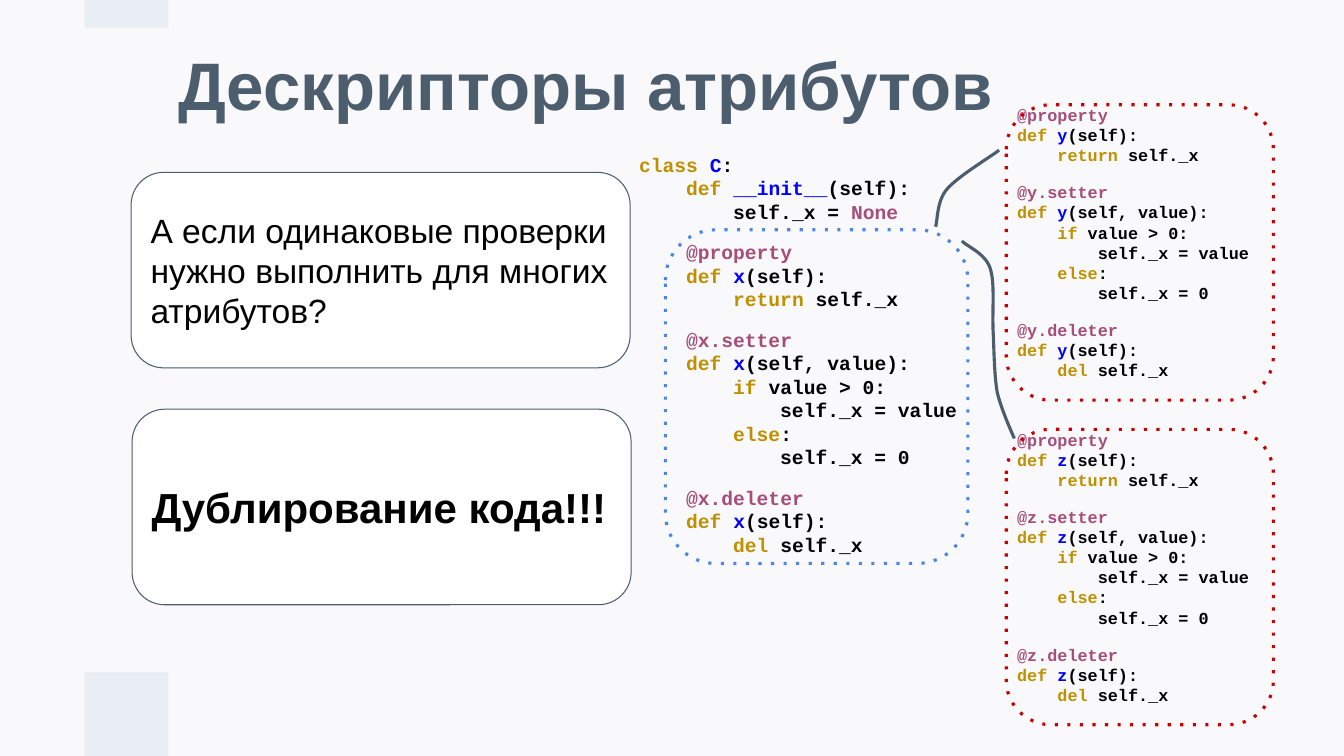
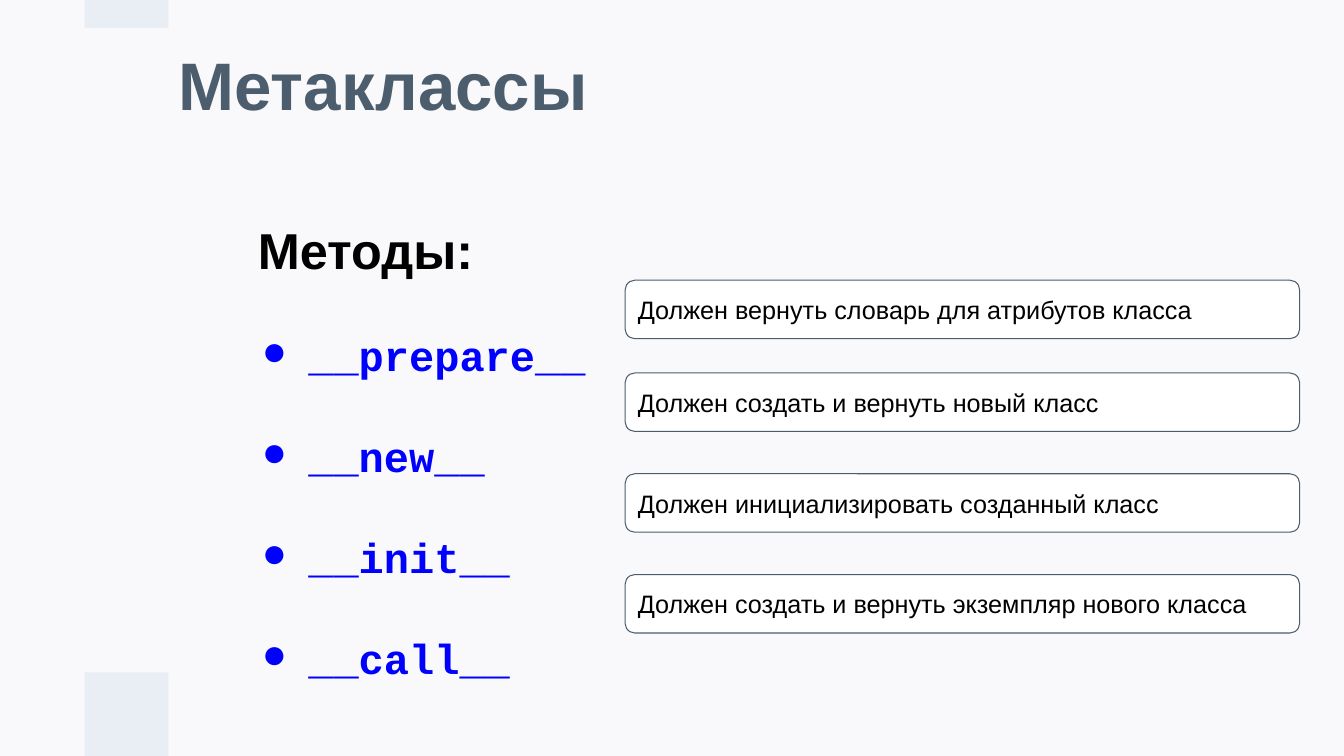
import pptx
import pptx.dml.color
import pptx.enum.dml
import pptx.enum.shapes
import pptx.enum.text
import pptx.oxml
import pptx.oxml.ns
import pptx.util

Inches = pptx.util.Inches
Pt = pptx.util.Pt
RGBColor = pptx.dml.color.RGBColor
SHAPES = pptx.enum.shapes.MSO_SHAPE
ANCHOR = pptx.enum.text.MSO_ANCHOR

# Shared colours and fonts
PAPER = RGBColor(0xF9, 0xF9, 0xFB)
BAND = RGBColor(0xE9, 0xED, 0xF4)
SLATE = RGBColor(0x4C, 0x5D, 0x6E)
WHITE = RGBColor(0xFF, 0xFF, 0xFF)
BLACK = RGBColor(0x00, 0x00, 0x00)
RED = RGBColor(0xCC, 0x00, 0x00)
SKY = RGBColor(0x4A, 0x86, 0xE8)
KEYWORD = RGBColor(0xBF, 0x90, 0x00)
NAME = RGBColor(0x00, 0x00, 0xFF)
DECORATOR = RGBColor(0xA6, 0x4D, 0x79)
SANS = "Arial"
MONO = "Courier New"


# Text
def add_text(frame, spans, size=18, font=SANS, color=BLACK, bold=False,
             spacing=None, before=0, indent=0, hanging=0, bullet=None):
    """Append one paragraph; spans is a string or a list of (text, colour)."""
    para = frame.paragraphs[0]
    if para.runs:
        para = frame.add_paragraph()
    para.alignment = pptx.enum.text.PP_ALIGN.LEFT
    para.line_spacing = spacing
    para.space_before = Pt(before)
    if isinstance(spans, str):
        spans = [(spans, color)]
    for text, span_color in spans:
        span = para.add_run()
        span.text = text
        span.font.size = Pt(size)
        span.font.name = font
        span.font.bold = bold
        span.font.color.rgb = span_color
    properties = para._p.get_or_add_pPr()
    properties.set("marL", str(Inches(indent)))
    properties.set("indent", str(Inches(-hanging)))
    if bullet:
        namespace = pptx.oxml.ns.nsdecls("a")
        for xml in (f'<a:buClr {namespace}><a:srgbClr val="{color}"/></a:buClr>',
                    f'<a:buFont {namespace} typeface="{font}"/>',
                    f'<a:buChar {namespace} char="{bullet}"/>'):
            properties.append(pptx.oxml.parse_xml(xml))


def set_frame(frame, anchor=ANCHOR.MIDDLE, margin=0.1):
    frame.word_wrap = True
    frame.vertical_anchor = anchor
    frame.margin_left = frame.margin_right = Inches(0.1)
    frame.margin_top = frame.margin_bottom = Inches(margin)
    return frame


def add_box(page, left, top, width, height, **frame_format):
    box = page.shapes.add_textbox(Inches(left), Inches(top),
                                  Inches(width), Inches(height))
    return set_frame(box.text_frame, **frame_format)


# Shapes
def add_panel(page, left, top, width, height, kind=SHAPES.ROUNDED_RECTANGLE,
              fill=None, line=None, weight=0.75, dotted=False):
    panel = page.shapes.add_shape(kind, Inches(left), Inches(top),
                                  Inches(width), Inches(height))
    panel.shadow.inherit = False
    if fill is None:
        panel.fill.background()
    else:
        panel.fill.solid()
        panel.fill.fore_color.rgb = fill
    if line is None:
        panel.line.fill.background()
    else:
        panel.line.color.rgb = line
        panel.line.width = Pt(weight)
    if dotted:
        panel.line.dash_style = pptx.enum.dml.MSO_LINE.ROUND_DOT
        panel._element.xpath(".//a:prstDash")[0].set("val", "dot")
    return panel


def add_card(page, left, top, width, height, text, **text_format):
    card = add_panel(page, left, top, width, height, fill=WHITE, line=SLATE)
    add_text(set_frame(card.text_frame), text, **text_format)


def add_curve(page, start, *segments, steps=16):
    """Draw an open line through cubic segments of (control, control, end)."""
    points = []
    origin = start
    for first, second, end in segments:
        for step in range(1, steps + 1):
            t = step / steps
            weights = ((1 - t) ** 3, 3 * t * (1 - t) ** 2,
                       3 * t ** 2 * (1 - t), t ** 3)
            corners = (origin, first, second, end)
            points.append(tuple(
                Inches(sum(w * corner[axis] for w, corner in zip(weights, corners)))
                for axis in (0, 1)))
        origin = end
    builder = page.shapes.build_freeform(Inches(start[0]), Inches(start[1]))
    builder.add_line_segments(points, close=False)
    curve = builder.convert_to_shape()
    curve.shadow.inherit = False
    curve.fill.background()
    curve.line.color.rgb = SLATE
    curve.line.width = Pt(2.25)


# Code listings: each line is (indent level, space before, spans)
def class_header():
    return [
        (0, 0, [("class ", KEYWORD), ("C", NAME), (":", BLACK)]),
        (1, 0, [("def ", KEYWORD), ("__init__", NAME), ("(self):", BLACK)]),
        (2, 0, [("self._x = ", BLACK), ("None", DECORATOR)]),
    ]


def property_lines(name):
    def method(arguments):
        return 1, 0, [("def ", KEYWORD), (name, NAME), (f"({arguments}):", BLACK)]

    return [
        (1, 12, [("@property", DECORATOR)]),
        method("self"),
        (2, 0, [("return", KEYWORD), (" self._x", BLACK)]),
        (1, 12, [(f"@{name}.setter", DECORATOR)]),
        method("self, value"),
        (2, 0, [("if", KEYWORD), (" value > 0:", BLACK)]),
        (3, 0, [("self._x = value", BLACK)]),
        (2, 0, [("else", KEYWORD), (":", BLACK)]),
        (3, 0, [("self._x = 0", BLACK)]),
        (1, 12, [(f"@{name}.deleter", DECORATOR)]),
        method("self"),
        (2, 0, [("del", KEYWORD), (" self._x", BLACK)]),
    ]


def add_code(page, left, top, width, height, lines, size):
    frame = add_box(page, left, top, width, height)
    level_width = 4 * 0.6 * size / 72  # four monospaced characters
    for level, before, spans in lines:
        add_text(frame, spans, size=size, font=MONO, bold=True,
                 before=before, indent=level * level_width)


# Pages
def add_page(deck, title):
    page = deck.slides.add_slide(deck.slide_layouts[6])
    for top, height in ((0, 0.28), (6.67, 0.83)):
        add_panel(page, 0.84, top, 0.83, height, kind=SHAPES.RECTANGLE, fill=BAND)
    frame = add_box(page, 1.67, 0.06, 10.79, 1.65, margin=0.05)
    add_text(frame, title, size=48, color=SLATE, bold=True, spacing=0.9)
    return page


def add_descriptors_page(deck):
    page = add_page(deck, "Дескрипторы атрибутов")
    add_code(page, 6.24, 1.42, 4.74, 4.19, class_header() + property_lines("x"), 14)
    add_card(page, 1.3, 1.71, 4.95, 1.94,
             "А если одинаковые проверки нужно выполнить для многих атрибутов?",
             size=24)
    add_card(page, 1.31, 4.06, 4.95, 1.94, "Дублирование кода!!!",
             size=30, bold=True)

    # Repeated properties
    for index, name in enumerate("yz"):
        shift = index * 3.22
        add_code(page, 9.59, 0.75 + shift, 3.27, 3.31, property_lines(name), 12)
        add_panel(page, 9.98, 1.04 + shift, 2.65, 2.93,
                  line=RED, weight=2.25, dotted=True)
    add_panel(page, 6.6, 2.28, 3, 3.31, line=SKY, weight=2.25, dotted=True)

    # Links from the first property to its duplicates
    add_curve(page, (9.28, 2.25),
              ((9.3, 2.19), (9.29, 2), (9.39, 1.88)),
              ((9.5, 1.75), (9.82, 1.56), (9.91, 1.49)))
    add_curve(page, (9.54, 2.39),
              ((9.58, 2.44), (9.77, 2.51), (9.82, 2.66)),
              ((9.87, 2.81), (9.84, 3.08), (9.85, 3.29)),
              ((9.86, 3.49), (9.86, 3.71), (9.89, 3.89)),
              ((9.93, 4.06), (10.03, 4.28), (10.06, 4.35)))


def add_metaclasses_page(deck):
    page = add_page(deck, "Метаклассы")
    methods = [
        ("__prepare__", 2.78, "Должен вернуть словарь для атрибутов класса"),
        ("__new__", 3.7, "Должен создать и вернуть новый класс"),
        ("__init__", 4.7, "Должен инициализировать созданный класс"),
        ("__call__", 5.7, "Должен создать и вернуть экземпляр нового класса"),
    ]
    frame = add_box(page, 2.46, 1.77, 8.2, 4.32, anchor=ANCHOR.TOP)
    add_text(frame, "Методы:", size=36, bold=True, spacing=1.5)
    for name, top, duty in methods:
        add_text(frame, name, size=30, font=MONO, color=NAME, bold=True,
                 spacing=2.0, indent=0.5, hanging=0.46, bullet="●")
        add_card(page, 6.2, top, 6.69, 0.58, duty, size=18)


def main():
    deck = pptx.Presentation()
    deck.slide_width = Inches(13.33)
    deck.slide_height = Inches(7.5)
    background = deck.slide_master.background.fill
    background.solid()
    background.fore_color.rgb = PAPER
    add_descriptors_page(deck)
    add_metaclasses_page(deck)
    deck.save("out.pptx")


if __name__ == "__main__":
    main()
